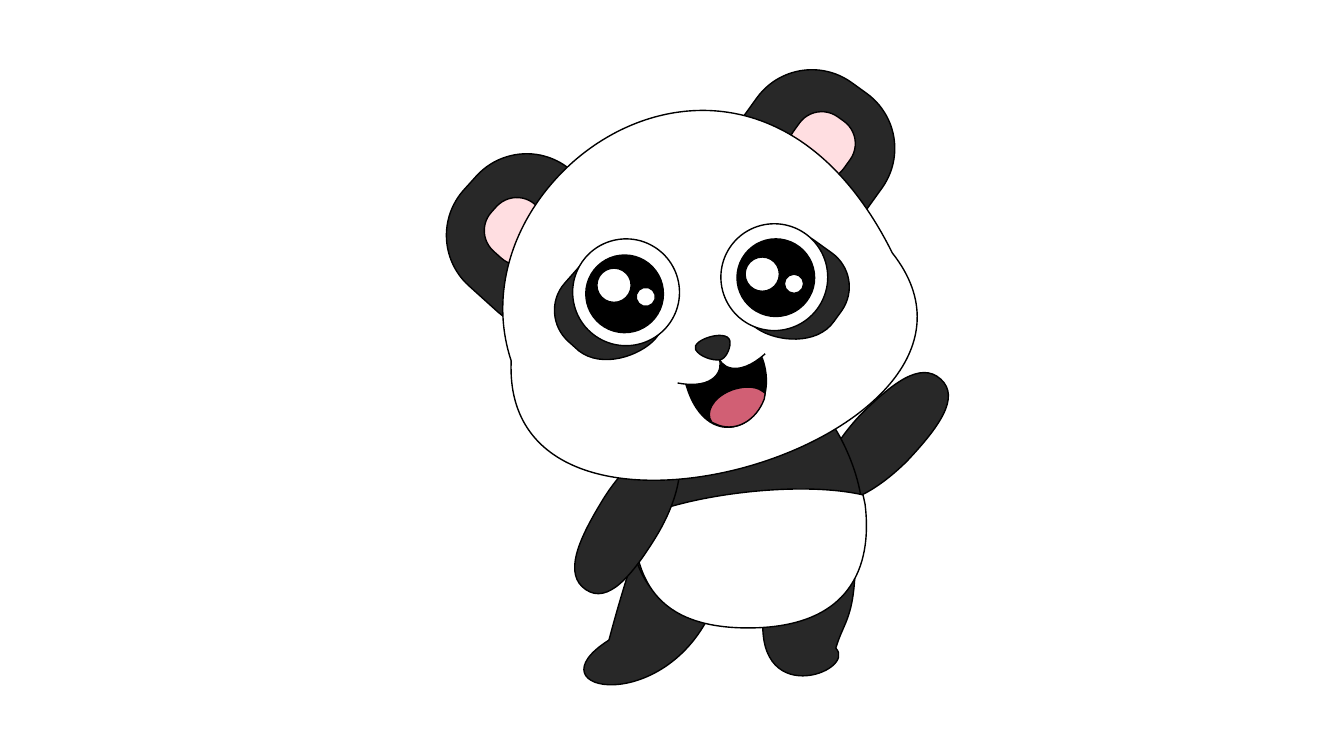
from dataclasses import dataclass
from math import cos, radians, sin

from lxml.etree import SubElement
from pptx import Presentation
from pptx.dml.color import RGBColor
from pptx.enum.shapes import MSO_SHAPE as Preset
from pptx.oxml.ns import qn
from pptx.shapes.base import BaseShape
from pptx.shapes.shapetree import GroupShapes
from pptx.util import Inches, Pt

PX = Inches(1) // 100
Box = tuple[int, int, int, int]
Spot = tuple[int, int]


@dataclass(frozen=True)
class Theme:
    fur: str = "282828"
    black: str = "000000"
    white: str = "FFFFFF"
    ear_pink: str = "FFDEE1"
    tongue: str = "D15F74"
    outline: Pt = Pt(1)


THEME = Theme()


@dataclass(frozen=True)
class Rounded:
    """An ellipse or rounded rectangle; turn is in degrees clockwise."""
    preset: Preset
    box: Box
    fill: str
    turn: float = 0


@dataclass(frozen=True)
class Curve:
    """An outline in slide px as it appears after the box has been turned."""
    box: Box
    fill: str
    outline: str
    turn: float = 0


Part = Rounded | Curve

# Outline letter: drawing element and the number of points it takes
STEPS = {"M": ("a:moveTo", 1), "L": ("a:lnTo", 1),
         "C": ("a:cubicBezTo", 3), "Z": ("a:close", 0)}
EYE_SIZES = (106, 77, 34, 19)
EYE_FILLS = (THEME.white, THEME.black, THEME.white, THEME.white)


def ear(outer: Spot, inner: Spot, turn: float) -> list[Part]:
    return [Rounded(Preset.ROUNDED_RECTANGLE, (*outer, 153, 173), THEME.fur, turn),
            Rounded(Preset.ROUNDED_RECTANGLE, (*inner, 62, 65), THEME.ear_pink, turn)]


def eye(*corners: Spot, turn: float = 0) -> list[Part]:
    """Eyeball, iris, large glint and small glint, given by their top left corners."""
    return [Rounded(Preset.OVAL, (*corner, size, size), fill, turn)
            for corner, size, fill in zip(corners, EYE_SIZES, EYE_FILLS)]


BODY: list[Part] = [
    # raised arm
    Curve((844, 353, 64, 163), THEME.fur,
          "M 853,412 C 822,445 807,481 820,493 833,506 868,489 900,457 "
          "931,424 953,394 933,376 913,358 885,380 853,412 Z", 223.9),
    # legs
    Curve((579, 487, 154, 192), THEME.fur,
          "M 649,487 L 733,532 710,596 C 665,714 522,687 604,635 619,578 634,536 649,487 Z"),
    Curve((756, 525, 92, 145), THEME.fur,
          "M 770,555 L 848,525 C 851,614 838,612 829,643 851,666 743,707 758,602 L 770,555 Z"),
    # torso and belly
    Curve((620, 369, 235, 248), THEME.fur,
          "M 622,494 C 617,454 619,367 709,375 805,342 849,454 854,494 "
          "858,534 857,617 738,617 619,617 627,534 622,494 Z"),
    Curve((632, 488, 231, 136), THEME.white,
          "M 856,491 C 857,494 857,497 858,500 863,540 861,623 742,623 "
          "638,623 631,559 627,516 L 632,514 C 634,513 637,512 639,512 "
          "682,492 790,476 856,491 Z", 354.4),
    # lowered arm
    Curve((591, 434, 64, 163), THEME.fur,
          "M 596,499 C 619,460 650,437 666,446 681,455 674,494 651,532 "
          "627,571 603,600 581,585 559,570 573,537 596,499 Z", 31.2),
]

HEAD: list[Part] = [
    *ear((725, 71), (784, 112), 35.7),
    *ear((454, 153), (483, 197), 312),
    Curve((499, 109, 411, 367), THEME.white,
          "M 507,358 C 445,171 743,-35 885,251 1029,433 496,595 507,358 Z"),
    # patch and eye on the right
    Curve((734, 235, 104, 104), THEME.fur,
          "M 825,251 C 843,264 848,289 835,308 L 827,319 C 810,343 770,339 751,326 "
          "745,322 745,320 738,316 720,303 729,279 741,260 L 749,249 "
          "C 762,230 788,225 807,238 L 825,251 Z", 124.6),
    *eye((715, 222), (731, 237), (739, 255), (778, 272)),
    # mouth, tongue and the two halves of the upper lip
    Curve((680, 355, 80, 69), THEME.black,
          "M 680,380 C 702,460 779,418 756,355 699,355 722,367 680,380 Z"),
    Curve((704, 384, 56, 40), THEME.tongue,
          "M 741,384 C 747,384 752,385 756,388 L 759,390 758,396 C 750,417 731,428 713,422 "
          "L 706,419 704,415 C 701,404 712,391 729,386 733,385 737,384 741,384 Z"),
    Curve((672, 355, 42, 26), THEME.white, "M 713,355 C 718,367 709,387 672,380"),
    Curve((714, 339, 42, 26), THEME.white, "M 712,351 C 713,364 731,376 759,351", 329.1),
    # nose
    Curve((689, 333, 35, 24), THEME.fur,
          "M 690,347 C 684,337 726,324 724,341 724,346 720,356 714,357 707,358 694,354 690,347 Z"),
    # patch and eye on the left
    Curve((555, 255, 104, 104), THEME.fur,
          "M 560,281 C 545,298 547,324 564,339 L 574,348 C 597,366 635,353 650,336 "
          "655,330 655,329 660,323 675,306 660,285 643,269 L 633,260 "
          "C 616,245 590,247 575,264 L 560,281 Z", 221.4),
    *eye((568, 237), (581, 253), (592, 266), (631, 285), turn=345.9),
]


def local_point(x: int, y: int, part: Curve) -> tuple[int, int]:
    """Turn a slide point back about the box centre and measure it from the box corner."""
    left, top, width, height = part.box
    dx, dy = x - left - width / 2, y - top - height / 2
    c, s = cos(radians(part.turn)), sin(radians(part.turn))
    return (round((dx * c + dy * s + width / 2) * PX),
            round((dy * c - dx * s + height / 2) * PX))


def add_curve(shapes: GroupShapes, part: Curve) -> BaseShape:
    left, top, width, height = part.box
    right, bottom = left + width, top + height
    builder = shapes.build_freeform(left, top, scale=PX)
    builder.add_line_segments([(right, top), (right, bottom), (left, bottom)])
    shape = builder.convert_to_shape()

    contour = shape.element.find(".//" + qn("a:path"))
    for corner_step in list(contour):
        contour.remove(corner_step)
    contour.set("w", str(width * PX))
    contour.set("h", str(height * PX))
    for token in part.outline.split():
        if token in STEPS:
            tag, size = STEPS[token]
            step = SubElement(contour, qn(tag))
            continue
        if len(step) == size:
            step = SubElement(contour, qn(tag))
        x, y = local_point(*map(int, token.split(",")), part)
        SubElement(step, qn("a:pt"), x=str(x), y=str(y))
    return shape


def add_rounded(shapes: GroupShapes, part: Rounded) -> BaseShape:
    shape = shapes.add_shape(part.preset, *(length * PX for length in part.box))
    if part.preset == Preset.ROUNDED_RECTANGLE:
        shape.adjustments[0] = 0.44
    return shape


def add_part(shapes: GroupShapes, part: Part) -> None:
    add = add_curve if isinstance(part, Curve) else add_rounded
    shape = add(shapes, part)
    shape.rotation = part.turn
    shape.shadow.inherit = False
    shape.fill.solid()
    shape.fill.fore_color.rgb = RGBColor.from_string(part.fill)
    shape.line.color.rgb = RGBColor.from_string(THEME.black)
    shape.line.width = THEME.outline


def main() -> None:
    deck = Presentation()
    deck.slide_width, deck.slide_height = Inches(13.33), Inches(7.5)
    slide = deck.slides.add_slide(deck.slide_layouts[6])
    panda = slide.shapes.add_group_shape()
    for part in BODY + HEAD:
        add_part(panda.shapes, part)
    deck.save("out.pptx")


if __name__ == "__main__":
    main()
